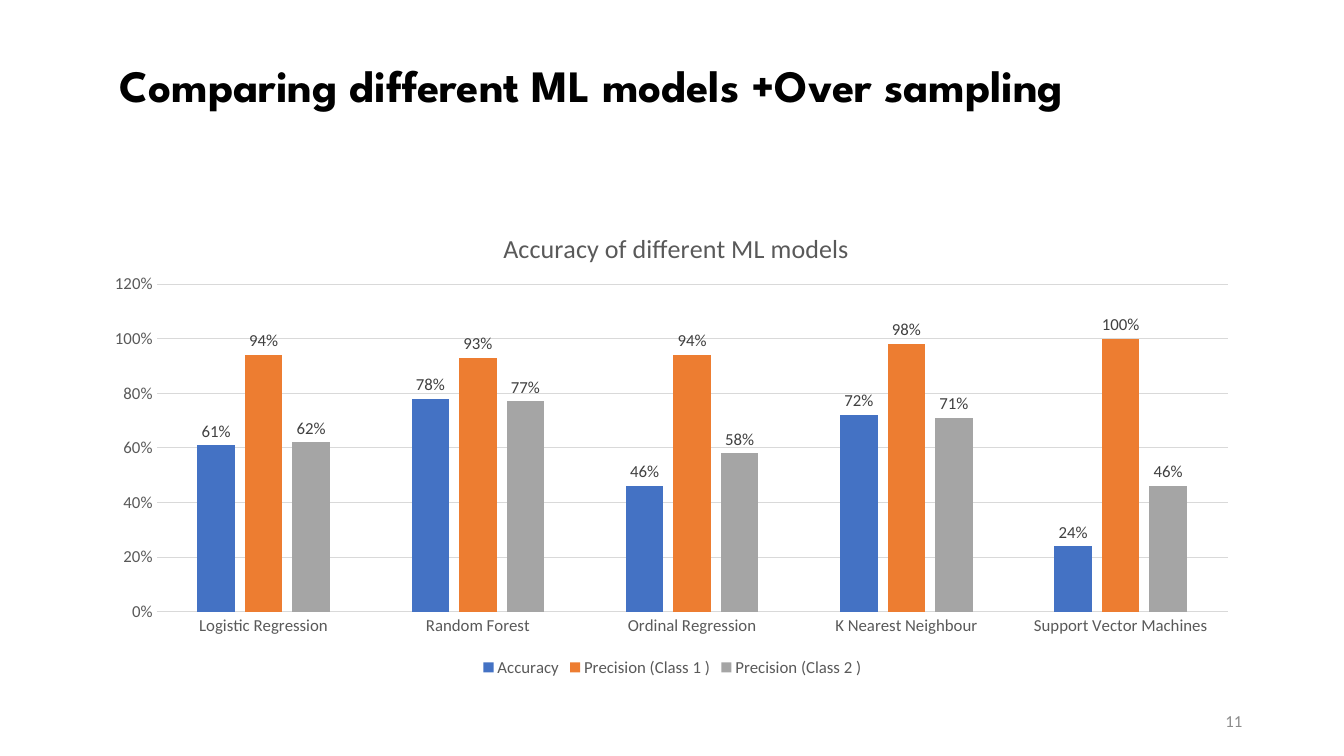
from lxml import etree
from pptx import Presentation
from pptx import util as u
from pptx.chart import data
from pptx.dml import color
from pptx.enum import chart as ch
from pptx.enum import text
from pptx.oxml import ns


def format_font(font, size, hex_color, name="Calibri", bold=False):
    font.size = u.Pt(size)
    font.name = name
    font.bold = bold
    font.color.rgb = color.RGBColor.from_string(hex_color)


def place(element, index, **fractions):
    for old_layout in element.findall(ns.qn("c:layout")):
        element.remove(old_layout)
    layout = etree.Element(ns.qn("c:layout"))
    manual = etree.SubElement(layout, ns.qn("c:manualLayout"))
    if "w" in fractions:
        etree.SubElement(manual, ns.qn("c:layoutTarget")).set("val", "inner")
    for axis in ("x", "y"):
        etree.SubElement(manual, ns.qn(f"c:{axis}Mode")).set("val", "edge")
    for key, value in fractions.items():
        etree.SubElement(manual, ns.qn(f"c:{key}")).set("val", str(value))
    element.insert(index, layout)


presentation = Presentation()
presentation.slide_width = u.Inches(13.33)
presentation.slide_height = u.Inches(7.5)
slide = presentation.slides.add_slide(presentation.slide_layouts[6])

labels = [
    ("Comparing different ML models +Over sampling", (1.09, 0.15, 11.5, 1.45),
     text.PP_ALIGN.LEFT, dict(size=32, hex_color="000000", name="League Spartan", bold=True)),
    ("11", (9.42, 6.95, 3, 0.4),
     text.PP_ALIGN.RIGHT, dict(size=12, hex_color="8C8C8C")),
]
for wording, box, alignment, style in labels:
    shape = slide.shapes.add_textbox(*map(u.Inches, box))
    frame = shape.text_frame
    frame.word_wrap = True
    frame.vertical_anchor = text.MSO_ANCHOR.MIDDLE
    paragraph = frame.paragraphs[0]
    paragraph.alignment = alignment
    paragraph.line_spacing = 0.9 if style["size"] == 32 else 1.0
    run = paragraph.add_run()
    run.text = wording
    format_font(run.font, **style)

measures = [
    ("Accuracy", "4472C4", (0.61, 0.78, 0.46, 0.72, 0.24)),
    ("Precision (Class 1 )", "ED7D31", (0.94, 0.93, 0.94, 0.98, 1)),
    ("Precision (Class 2 )", "A5A5A5", (0.62, 0.77, 0.58, 0.71, 0.46)),
]
chart_data = data.CategoryChartData(number_format="0%")
chart_data.categories = [
    "Logistic Regression", "Random Forest", "Ordinal Regression",
    "K Nearest Neighbour", "Support Vector Machines",
]
for name, _, values in measures:
    chart_data.add_series(name, values)
chart = slide.shapes.add_chart(
    ch.XL_CHART_TYPE.COLUMN_CLUSTERED,
    u.Inches(0.92), u.Inches(2), u.Inches(11.5), u.Inches(4.76), chart_data,
).chart
format_font(chart.font, 10, "000000")

chart.has_title = True
title_run = chart.chart_title.text_frame.paragraphs[0].add_run()
title_run.text = "Accuracy of different ML models"
format_font(title_run.font, 18.6, "595959")
chart.chart_title.include_in_layout = False
place(chart.chart_title._element, 1, x=0.35, y=0.05)
plot_area = chart._chartSpace.find(".//" + ns.qn("c:plotArea"))
place(plot_area, 0, x=0.055, y=0.172, w=0.924, h=0.683)

chart.has_legend = True
chart.legend.position = ch.XL_LEGEND_POSITION.BOTTOM
chart.legend.include_in_layout = False
format_font(chart.legend.font, 12, "595959")

for axis in (chart.category_axis, chart.value_axis):
    axis.major_tick_mark = axis.minor_tick_mark = ch.XL_TICK_MARK.NONE
    format_font(axis.tick_labels.font, 12, "595959")
value_axis = chart.value_axis
value_axis.minimum_scale, value_axis.maximum_scale, value_axis.major_unit = 0, 1.2, 0.2
value_axis.tick_labels.number_format = "0%"
value_axis.tick_labels.number_format_is_linked = False
value_axis.format.line.fill.background()
for line in (chart.category_axis.format.line, value_axis.major_gridlines.format.line):
    line.width = u.Pt(0.75)
    line.color.rgb = color.RGBColor.from_string("D9D9D9")

plot = chart.plots[0]
plot.gap_width = 219
plot.overlap = -27
plot.vary_by_categories = False
for series, (_, fill, _) in zip(plot.series, measures):
    series.format.fill.solid()
    series.format.fill.fore_color.rgb = color.RGBColor.from_string(fill)
    series.format.line.fill.background()
    series.invert_if_negative = False
    value_labels = series.data_labels
    value_labels.show_value = True
    value_labels.position = ch.XL_LABEL_POSITION.OUTSIDE_END
    value_labels.number_format = "0%"
    value_labels.number_format_is_linked = False
    format_font(value_labels.font, 12, "404040")

presentation.save("out.pptx")
